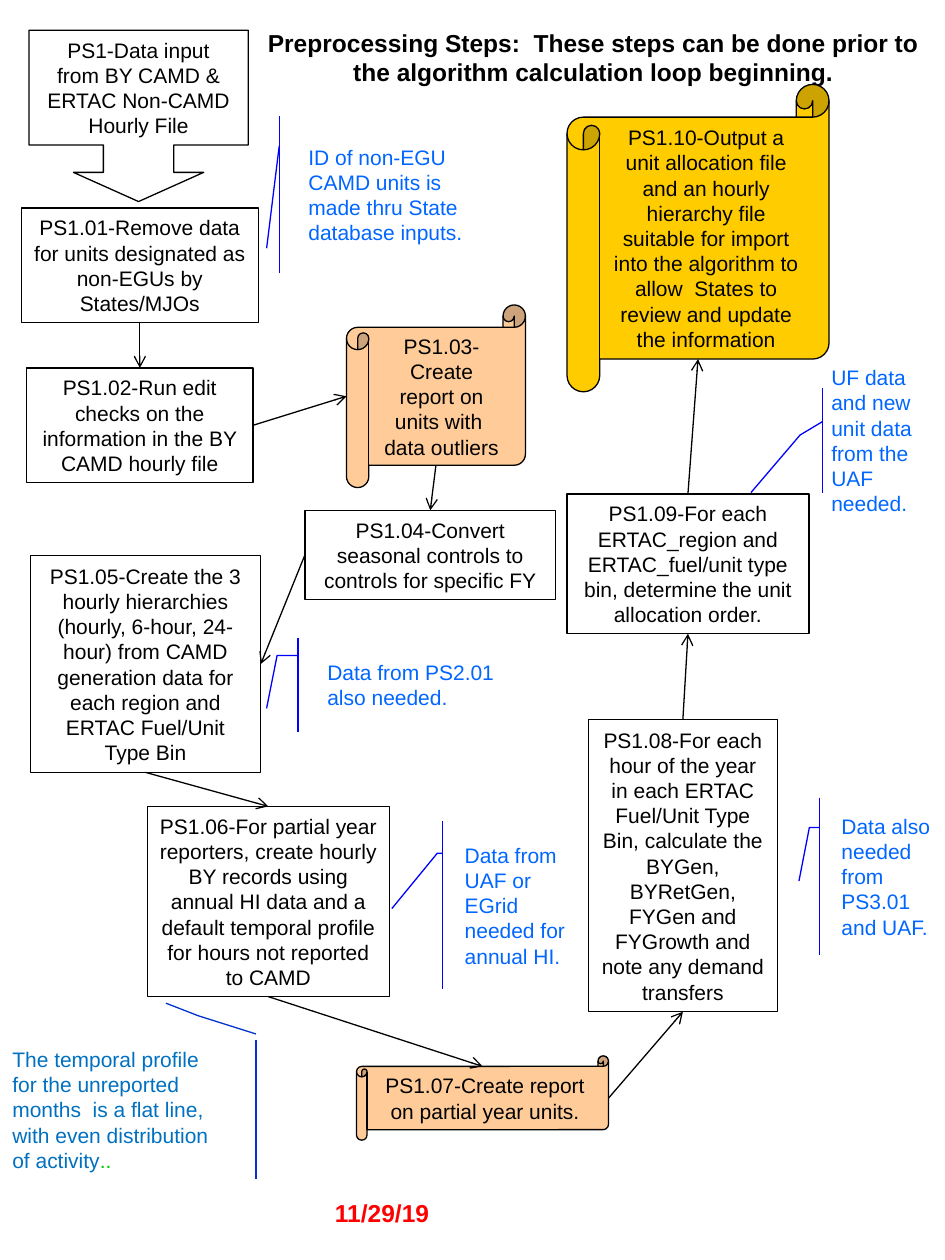
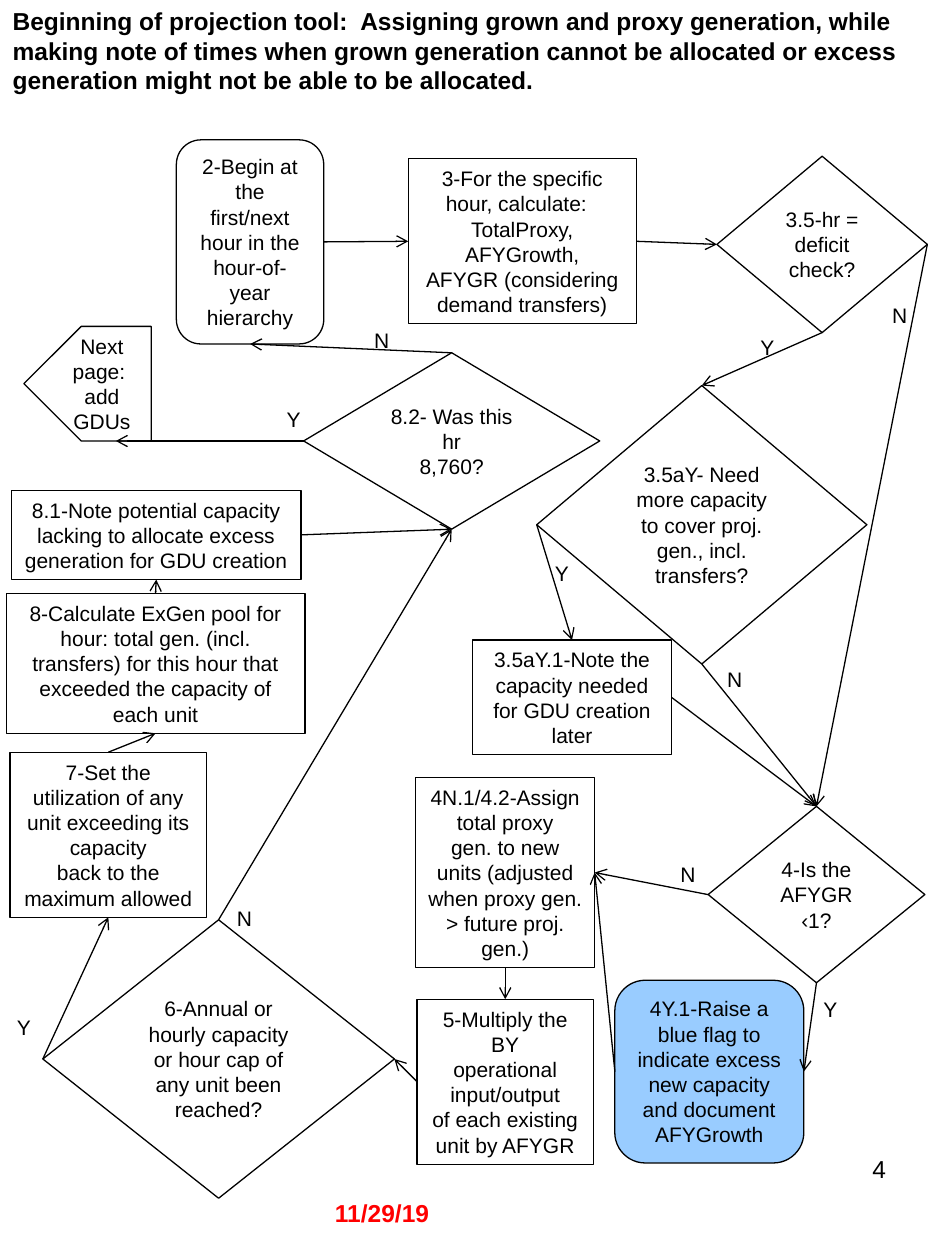
import dataclasses

import pptx
import pptx.dml.color
import pptx.enum.shapes
import pptx.enum.text
import pptx.oxml
import pptx.oxml.ns
import pptx.util

Inches = pptx.util.Inches
SHAPE = pptx.enum.shapes.MSO_SHAPE
ALIGN = pptx.enum.text.PP_ALIGN
ANCHOR = pptx.enum.text.MSO_ANCHOR
TOP, LEFT, BOTTOM, RIGHT = range(4)  # connection sites


@dataclasses.dataclass(frozen=True)
class Theme:
    """Colours, font and sizes shared by both slides."""
    font: str = "Arial"
    heading_size: int = 14
    body_size: int = 12
    line_width: float = 0.75
    ink: str = "000000"
    white: str = "FFFFFF"
    date: str = "FF0000"
    report: str = "FFCC99"
    output: str = "FFCC00"
    flag: str = "99CCFF"
    note_text: str = "0066FF"
    note_line: str = "0000FF"
    profile_text: str = "0070C0"
    profile_line: str = "0033CC"
    profile_dots: str = "00CC00"


THEME = Theme()
DATE = "11/29/19"


def rgb(value):
    """Turn a hex string into a colour."""
    return pptx.dml.color.RGBColor.from_string(value)


def add_span(para, text, size=THEME.body_size, color=THEME.ink, bold=False):
    """Add one formatted run to a paragraph."""
    span = para.add_run()
    span.text = text
    span.font.name = THEME.font
    span.font.size = pptx.util.Pt(size)
    span.font.color.rgb = rgb(color)
    span.font.bold = bold


def write(box, lines, align=ALIGN.LEFT, anchor=ANCHOR.TOP, grow=True, **style):
    """Fill a box with one paragraph per line."""
    frame = box.text_frame
    frame.word_wrap = True
    frame.vertical_anchor = anchor
    sizes = pptx.enum.text.MSO_AUTO_SIZE
    frame.auto_size = sizes.SHAPE_TO_FIT_TEXT if grow else sizes.NONE
    for index, line in enumerate(lines):
        para = frame.paragraphs[0] if index == 0 else frame.add_paragraph()
        para.alignment = align
        add_span(para, line, **style)


def add_title(page, place, text, align=ALIGN.LEFT):
    """Move and fill the title placeholder."""
    title = page.shapes.title
    title.left, title.top, title.width, title.height = map(Inches, place)
    write(title, [text], align, size=THEME.heading_size, bold=True)


def add_text(page, place, text, **style):
    """Add a plain text box."""
    box = page.shapes.add_textbox(*map(Inches, place))
    write(box, [text], **style)


def add_date(page):
    """Add the date footer shared by the slides."""
    add_text(page, (2.56, 9.46, 2.38, 0.34), DATE, grow=False,
             size=THEME.heading_size, color=THEME.date, bold=True)


def add_outline(page, kind, place, line, fill=None, adjust=()):
    """Add a preset shape with a thin outline and no shadow."""
    shape = page.shapes.add_shape(kind, *map(Inches, place))
    shape.shadow.inherit = False
    for index, value in enumerate(adjust):
        shape.adjustments[index] = value
    if fill:
        shape.fill.solid()
        shape.fill.fore_color.rgb = rgb(fill)
    else:
        shape.fill.background()
    shape.line.color.rgb = rgb(line)
    shape.line.width = pptx.util.Pt(THEME.line_width)
    return shape


def add_step(page, kind, place, *lines, fill=None, adjust=()):
    """Add a flowchart step with centred text."""
    step = add_outline(page, kind, place, THEME.ink, fill, adjust)
    write(step, lines, ALIGN.CENTER, ANCHOR.MIDDLE)
    return step


def add_note(page, place, adjust, text, color=THEME.note_text,
             line=THEME.note_line, grow=False):
    """Add a callout note whose leader has one or two segments."""
    kind = (SHAPE.LINE_CALLOUT_1_ACCENT_BAR if len(adjust) == 4
            else SHAPE.LINE_CALLOUT_2_ACCENT_BAR)
    note = add_outline(page, kind, place, line, adjust=adjust)
    write(note, [text], anchor=ANCHOR.MIDDLE, grow=grow, color=color)
    return note


def scroll_inset(step, site):
    """Give the distance from a scroll's frame to its body edge."""
    if step.auto_shape_type != SHAPE.HORIZONTAL_SCROLL:
        return 0
    inset = int(min(step.width, step.height) * step.adjustments[0])
    return {TOP: inset, BOTTOM: -inset}.get(site, 0)


def add_arrow(page, start, start_site, end, end_site=None):
    """Join two steps, or a step and a point, with an arrow."""
    x, y = map(Inches, end) if end_site is None else (0, 0)
    arrow = page.shapes.add_connector(
        pptx.enum.shapes.MSO_CONNECTOR.STRAIGHT, 0, 0, x, y)
    arrow.begin_connect(start, start_site)
    arrow.begin_y += scroll_inset(start, start_site)
    if end_site is not None:
        arrow.end_connect(end, end_site)
        arrow.end_y += scroll_inset(end, end_site)
    arrow.line.color.rgb = rgb(THEME.ink)
    arrow.line.width = pptx.util.Pt(THEME.line_width)
    space = pptx.oxml.ns.nsdecls("a")
    arrow.line._get_or_add_ln().append(
        pptx.oxml.parse_xml(f'<a:tailEnd {space} type="arrow"/>'))
    arrow._element.spPr.append(pptx.oxml.parse_xml(f"<a:effectLst {space}/>"))


def add_answers(page, answers):
    """Label the branches of the decisions with Y or N."""
    for letter, left, top in answers:
        width = 0.42 if letter == "Y" else 0.58
        add_text(page, (left, top, width, 0.3), letter, align=ALIGN.CENTER)


def build_preprocessing(page):
    """Draw the preprocessing steps."""
    add_date(page)
    add_title(page, (1.92, 0.17, 5.58, 0.57),
              "Preprocessing Steps:  These steps can be done prior to the "
              "algorithm calculation loop beginning.", ALIGN.CENTER)
    rect, scroll = SHAPE.RECTANGLE, SHAPE.HORIZONTAL_SCROLL
    add_step(page, SHAPE.DOWN_ARROW_CALLOUT, (0.23, 0.24, 1.74, 1.36),
             "PS1-Data input", "from BY CAMD & ERTAC Non-CAMD Hourly File",
             adjust=(0.41, 0.38, 0.17, 0.67))
    remove = add_step(page, rect, (0.17, 1.65, 1.88, 0.91),
                      "PS1.01-Remove data for units designated as non-EGUs "
                      "by States/MJOs", fill=THEME.white)
    check = add_step(page, rect, (0.21, 2.92, 1.8, 0.91),
                     "PS1.02-Run edit checks on the information in the BY "
                     "CAMD hourly file")
    outliers = add_step(page, scroll, (2.75, 2.42, 1.42, 1.45),
                        "PS1.03-Create report on units with  data outliers",
                        fill=THEME.report)
    convert = add_step(page, rect, (2.42, 4.05, 1.99, 0.71),
                       "PS1.04-Convert seasonal controls to controls for "
                       "specific FY", fill=THEME.white)
    hierarchies = add_step(page, rect, (0.24, 4.41, 1.83, 1.72),
                           "PS1.05-Create the 3 hourly hierarchies (hourly, "
                           "6-hour, 24-hour) from CAMD generation data for "
                           "each region and ERTAC Fuel/Unit Type Bin")
    partial = add_step(page, rect, (1.17, 6.4, 1.92, 1.51),
                       "PS1.06-For partial year reporters, create hourly BY "
                       "records using annual HI data and a default temporal "
                       "profile for hours not reported to CAMD")
    report = add_step(page, scroll, (2.83, 8.38, 2, 0.67),
                      "PS1.07-Create report on partial year units.",
                      fill=THEME.report)
    growth = add_step(page, rect, (4.67, 5.71, 1.5, 2.32),
                      "PS1.08-For each hour of the year in each ERTAC "
                      "Fuel/Unit Type Bin, calculate the BYGen, BYRetGen, "
                      "FYGen and FYGrowth and note any demand transfers")
    order = add_step(page, rect, (4.5, 3.92, 1.92, 1.11),
                     "PS1.09-For each ERTAC_region and ERTAC_fuel/unit type "
                     "bin, determine the unit allocation order.")
    output = add_step(page, scroll, (4.5, 0.67, 2.08, 2.44),
                      "PS1.10-Output a unit allocation file and an hourly "
                      "hierarchy file suitable for import into the algorithm "
                      "to allow  States to review and update the information",
                      fill=THEME.output)

    for place, adjust, text in (
        ((2.35, 0.92, 1.67, 1.25), (0.19, -0.08, 0.84, -0.14),
         "ID of non-EGU CAMD units is made thru State database inputs."),
        ((2.5, 5.06, 1.67, 0.75), (0.19, -0.08, 0.19, -0.18, 0.75, -0.23),
         "Data from PS2.01 also needed."),
        ((3.59, 6.52, 1, 1.33), (0.19, -0.08, 0.19, -0.12, 0.52, -0.48),
         "Data from UAF or EGrid needed for annual HI."),
        ((6.58, 6.33, 0.92, 1.25), (0.19, -0.08, 0.19, -0.17, 0.53, -0.26),
         "Data also needed from PS3.01 and UAF."),
        ((6.5, 3.08, 1, 0.83), (0.32, 0.03, 0.45, -0.15, 1, -0.54),
         "UF data and new unit data from the UAF needed."),
    ):
        add_note(page, place, adjust, text)
    profile = add_note(page, (0, 8.25, 1.83, 1.11),
                       (-0.04, 1.11, -0.17, 0.86, -0.26, 0.72),
                       "The temporal profile for the unreported months  is a "
                       "flat line, with even distribution of activity",
                       THEME.profile_text, THEME.profile_line, grow=True)
    add_span(profile.text_frame.paragraphs[0], "..", color=THEME.profile_dots)

    for link in (
        (remove, BOTTOM, check, TOP),
        (check, RIGHT, outliers, LEFT),
        (outliers, BOTTOM, convert, TOP),
        (convert, LEFT, hierarchies, RIGHT),
        (hierarchies, BOTTOM, partial, TOP),
        (partial, BOTTOM, report, TOP),
        (report, RIGHT, growth, BOTTOM),
        (growth, TOP, order, BOTTOM),
        (order, TOP, output, BOTTOM),
    ):
        add_arrow(page, *link)


def build_projection(page):
    """Draw the start of the projection loop."""
    add_title(page, (0, 0, 7.5, 0.81),
              "Beginning of projection tool:  Assigning grown and proxy "
              "generation, while making note of times when grown generation "
              "cannot be allocated or excess generation might not be able to "
              "be allocated.")
    add_date(page)
    add_text(page, (5.38, 9.11, 1.75, 0.69), "4", align=ALIGN.RIGHT,
             grow=False, size=THEME.heading_size)
    process, decision = SHAPE.FLOWCHART_PROCESS, SHAPE.FLOWCHART_DECISION
    rounded = SHAPE.FLOWCHART_ALTERNATE_PROCESS
    begin = add_step(page, rounded, (1.4, 1.11, 1.17, 1.62),
                     "2-Begin at the first/next",
                     "hour in the hour-of-year hierarchy")
    calculate = add_step(page, process, (3.24, 1.26, 1.81, 1.31),
                         "3-For the specific hour, calculate:  ",
                         "TotalProxy, AFYGrowth,",
                         "AFYGR (considering demand transfers)")
    deficit = add_step(page, decision, (5.69, 1.24, 1.67, 1.4),
                       "3.5-hr = deficit", "check?")
    capacity = add_step(page, decision, (4.26, 3.06, 2.62, 2.21),
                        "3.5aY- Need more capacity to cover proj. gen., "
                        "incl. transfers?")
    needed = add_step(page, process, (3.75, 5.08, 1.58, 0.91),
                      "3.5aY.1-Note the capacity needed for GDU creation "
                      "later")
    ratio = add_step(page, decision, (5.62, 6.4, 1.72, 1.4),
                     "4-Is the", "AFYGR", "‹1?")
    flag = add_step(page, rounded, (4.88, 7.78, 1.5, 1.45),
                    "4Y.1-Raise a blue flag to indicate excess new capacity "
                    "and document AFYGrowth", fill=THEME.flag)
    assign = add_step(page, SHAPE.RECTANGLE, (3.3, 6.17, 1.42, 1.51),
                      "4N.1/4.2-Assign total proxy",
                      "gen. to new units (adjusted when proxy gen. > future "
                      "proj. gen.)")
    multiply = add_step(page, process, (3.31, 7.93, 1.4, 1.31),
                        "5-Multiply the BY", "operational input/output",
                        "of each existing unit by AFYGR")
    reached = add_step(page, decision, (0.34, 7.3, 2.79, 2.21),
                       "6-Annual or hourly capacity or hour cap of any unit "
                       "been reached?")
    limit = add_step(page, process, (0.08, 5.97, 1.56, 1.31),
                     "7-Set the utilization of any",
                     "unit exceeding its capacity",
                     "back to the maximum allowed")
    pool = add_step(page, process, (0.05, 4.71, 2.37, 1.11),
                    "8-Calculate ExGen pool for hour: total gen. (incl. "
                    "transfers) for this hour that exceeded the capacity of "
                    "each unit")
    lacking = add_step(page, process, (0.09, 3.89, 2.3, 0.71),
                       "8.1-Note potential capacity lacking to allocate "
                       "excess generation for GDU creation")
    last_hour = add_step(page, decision, (2.41, 2.8, 2.35, 1.4),
                         "8.2- Was this hr", "8,760?")
    next_page = add_step(page, SHAPE.PENTAGON, (0.19, 2.59, 1.01, 0.91),
                         "Next page:  add GDUs")
    next_page._element.spPr.get_or_add_xfrm().set("flipH", "1")

    for link in (
        (begin, RIGHT, calculate, LEFT),
        (calculate, RIGHT, deficit, LEFT),
        (deficit, RIGHT, ratio, TOP),
        (deficit, BOTTOM, capacity, TOP),
        (capacity, LEFT, needed, TOP),
        (capacity, BOTTOM, ratio, TOP),
        (needed, RIGHT, ratio, TOP),
        (ratio, LEFT, assign, RIGHT),
        (ratio, BOTTOM, flag, RIGHT),
        (flag, LEFT, assign, RIGHT),
        (assign, BOTTOM, multiply, TOP),
        (multiply, LEFT, reached, RIGHT),
        (reached, LEFT, limit, BOTTOM),
        (reached, TOP, last_hour, BOTTOM),
        (limit, TOP, pool, BOTTOM),
        (pool, TOP, lacking, BOTTOM),
        (lacking, RIGHT, last_hour, BOTTOM),
        (last_hour, TOP, begin, BOTTOM),
        (last_hour, LEFT, (0.92, 3.5)),
    ):
        add_arrow(page, *link)
    add_answers(page, (
        ("N", 6.85, 2.35), ("Y", 5.88, 2.61), ("Y", 4.25, 4.4),
        ("N", 5.54, 5.24), ("Y", -0.02, 8), ("N", 1.65, 7.14),
        ("N", 2.74, 2.55), ("Y", 2.12, 3.18), ("Y", 6.38, 7.86),
        ("N", 5.17, 6.79)))


def main():
    """Build the two slides and save the deck."""
    deck = pptx.Presentation()
    deck.slide_width, deck.slide_height = Inches(7.5), Inches(10)
    title_only = deck.slide_layouts[5]
    for build in (build_preprocessing, build_projection):
        build(deck.slides.add_slide(title_only))
    deck.save("out.pptx")


main()
